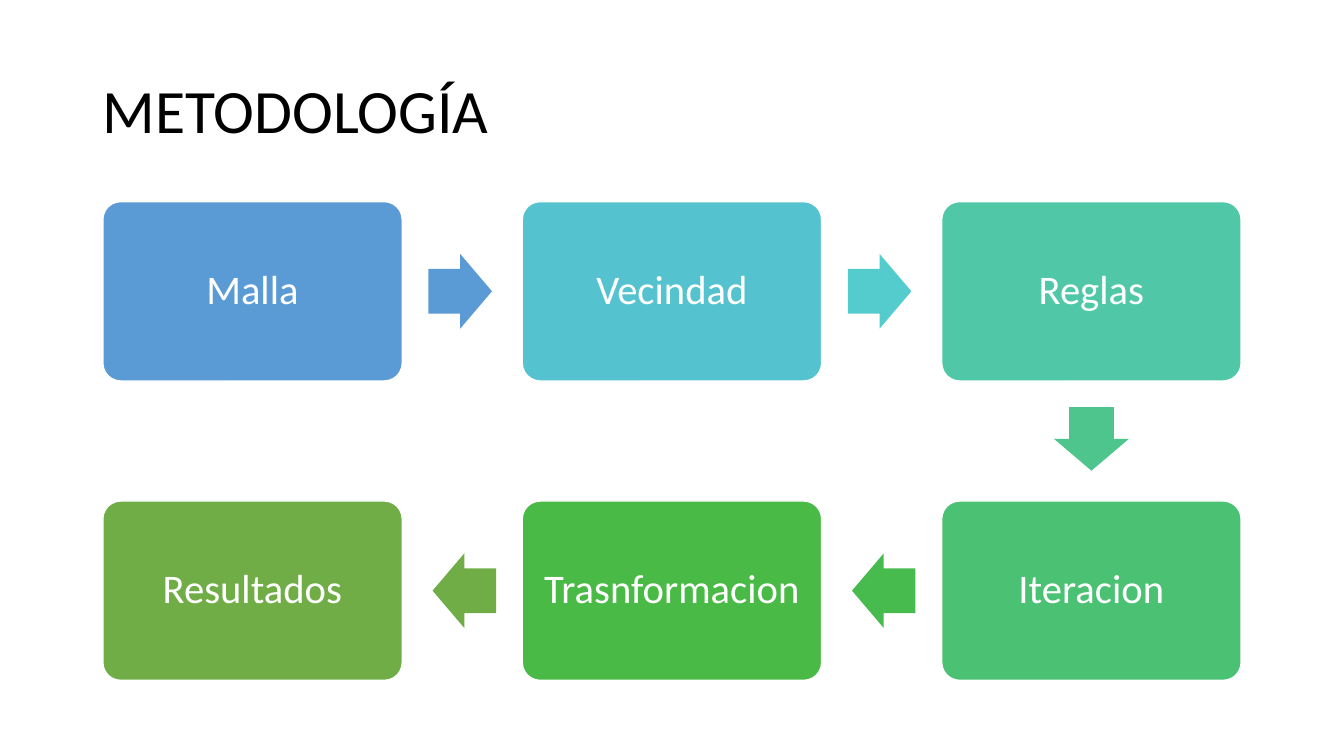
import math
from dataclasses import dataclass

import pptx
import pptx.dml.color
import pptx.enum.shapes
import pptx.enum.text
import pptx.util

Inches = pptx.util.Inches
Shape = pptx.enum.shapes.MSO_SHAPE
Align = pptx.enum.text.PP_ALIGN


@dataclass(frozen=True)
class Theme:
    font: str = "Calibri"
    ink: str = "000000"
    paper: str = "FFFFFF"
    title_size: int = 44
    step_size: int = 29


def rgb(value):
    return pptx.dml.color.RGBColor.from_string(value)


def set_text(sp, text, *, font, size, color, align, inset=(0.1, 0.05)):
    tf = sp.text_frame
    tf.word_wrap = True
    tf.vertical_anchor = pptx.enum.text.MSO_ANCHOR.MIDDLE
    tf.margin_left = tf.margin_right = Inches(inset[0])
    tf.margin_top = tf.margin_bottom = Inches(inset[1])
    p = tf.paragraphs[0]
    p.alignment = align
    p.line_spacing = 0.9
    r = p.add_run()
    r.text = text
    r.font.name = font
    r.font.size = pptx.util.Pt(size)
    r.font.color.rgb = rgb(color)


class FlowSlide:
    # Grid of steps, in inches: first box, pitch between boxes, box size
    LEFT, TOP = 1.02, 2.0
    COL, ROW = 4.16, 2.97
    BOX_W, BOX_H = 2.97, 1.78
    ARROW_W, ARROW_H = 0.63, 0.74
    ARROW_SETBACK = 0.02

    def __init__(self, prs, theme):
        self.theme = theme
        self.s = prs.slides.add_slide(prs.slide_layouts[6])

    def center(self, cell):
        col, row = cell
        return (self.LEFT + col * self.COL + self.BOX_W / 2,
                self.TOP + row * self.ROW + self.BOX_H / 2)

    def shape(self, kind, center, w, h, fill):
        x, y = center
        sp = self.s.shapes.add_shape(
            kind, Inches(x - w / 2), Inches(y - h / 2), Inches(w), Inches(h))
        sp.shadow.inherit = False
        sp.fill.solid()
        sp.fill.fore_color.rgb = rgb(fill)
        sp.line.fill.background()
        return sp

    def title(self, text):
        sp = self.s.shapes.add_textbox(
            Inches(0.92), Inches(0.4), Inches(11.5), Inches(1.45))
        set_text(sp, text, font=self.theme.font, size=self.theme.title_size,
                 color=self.theme.ink, align=Align.LEFT)

    def step(self, text, cell, fill):
        sp = self.shape(Shape.ROUNDED_RECTANGLE, self.center(cell),
                        self.BOX_W, self.BOX_H, fill)
        sp.adjustments[0] = 0.1
        sp.line.color.rgb = rgb(self.theme.paper)
        sp.line.width = pptx.util.Pt(1)
        set_text(sp, text, font=self.theme.font, size=self.theme.step_size,
                 color=self.theme.paper, align=Align.CENTER,
                 inset=(0.12, 0.12))

    def arrow(self, start, end, fill):
        # Halfway between two steps, set slightly back towards the first
        (x1, y1), (x2, y2) = self.center(start), self.center(end)
        angle = math.atan2(y2 - y1, x2 - x1)
        middle = ((x1 + x2) / 2 - self.ARROW_SETBACK * math.cos(angle),
                  (y1 + y2) / 2 - self.ARROW_SETBACK * math.sin(angle))
        sp = self.shape(Shape.RIGHT_ARROW, middle,
                        self.ARROW_W, self.ARROW_H, fill)
        sp.adjustments[0] = 0.6
        sp.adjustments[1] = 0.5
        sp.rotation = math.degrees(angle)


# Step name, grid cell (column, row), box colour
STEPS = [
    ("Malla", (0, 0), "5B9BD5"),
    ("Vecindad", (1, 0), "55C3CF"),
    ("Reglas", (2, 0), "50C8A7"),
    ("Iteracion", (2, 1), "4BC174"),
    ("Trasnformacion", (1, 1), "4ABA46"),
    ("Resultados", (0, 1), "70AD47"),
]
ARROW_FILLS = ["5B9BD5", "54CCCD", "4DC58D", "48BB4F", "70AD47"]


def main():
    prs = pptx.Presentation()
    prs.slide_width = Inches(13.33)
    prs.slide_height = Inches(7.5)
    slide = FlowSlide(prs, Theme())

    # Heading
    slide.title("METODOLOGÍA")

    # Steps and the arrows between them
    for name, cell, fill in STEPS:
        slide.step(name, cell, fill)
    for (_, start, _), (_, end, _), fill in zip(STEPS, STEPS[1:], ARROW_FILLS):
        slide.arrow(start, end, fill)

    prs.save("out.pptx")


if __name__ == "__main__":
    main()
